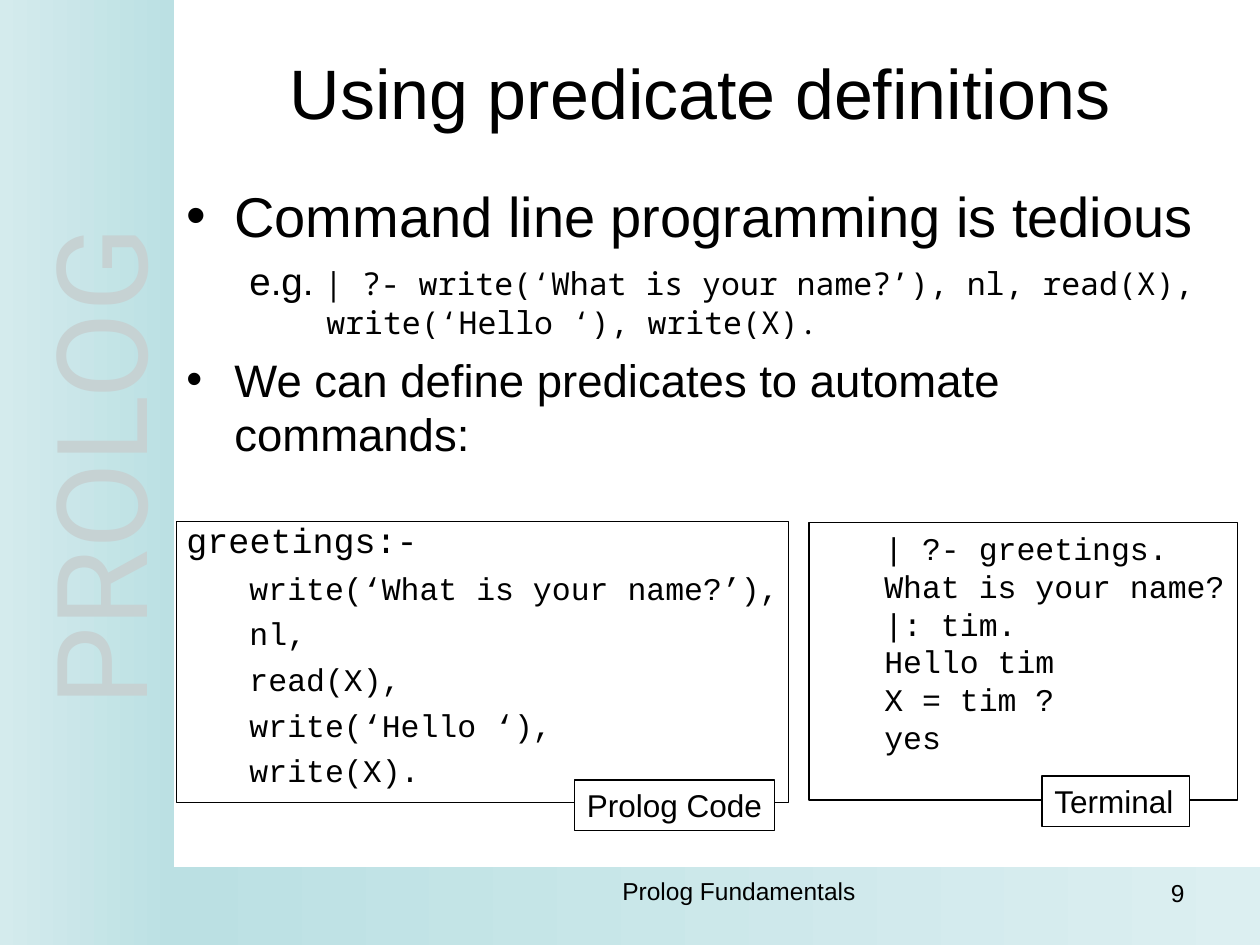
from lxml.etree import SubElement
from pptx import Presentation
from pptx.dml.color import RGBColor
from pptx.enum.shapes import MSO_SHAPE as Shape
from pptx.enum.text import MSO_ANCHOR as Anchor, MSO_AUTO_SIZE as Fit, PP_ALIGN as Align
from pptx.oxml.ns import qn
from pptx.util import Inches, Pt

# Grid: 100 columns by 75 rows over the slide
COLS, ROWS = 100, 75
WIDE, HIGH = Inches(10), Inches(7.5)
MONO = "Courier New"


def hue(code):
    return RGBColor.from_string(code)


def grid(box):
    x, y, w, h = box
    return [round(v) for v in (x * WIDE / COLS, y * HIGH / ROWS,
                               w * WIDE / COLS, h * HIGH / ROWS)]


def style(item, form):
    for key, val in form.items():
        setattr(item, key, val)


def move(shape, box):
    style(shape, dict(zip(("left", "top", "width", "height"), grid(box))))


def write(par, text, size, face="Arial", color="000000"):
    run = par.add_run()
    run.text = text
    style(run.font, {"size": Pt(size), "name": face})
    run.font.color.rgb = hue(color)


def indent(par, left, hang, mark=None):
    props = par._p.get_or_add_pPr()
    props.set("marL", str(Inches(left)))
    props.set("indent", str(Inches(hang)))
    if mark:
        SubElement(props, qn("a:buChar"), char=mark)
    else:
        SubElement(props, qn("a:buNone"))


def band(slide, box, start, end):
    shape = slide.shapes.add_shape(Shape.RECTANGLE, *grid(box))
    shape.shadow.inherit = False
    shape.line.fill.background()
    shape.fill.gradient()
    shape.fill.gradient_angle = 0
    for stop, code in zip(shape.fill.gradient_stops, (start, end)):
        stop.color.rgb = hue(code)


def label(slide, box, text, size, align, wrap=True, **look):
    shape = slide.shapes.add_textbox(*grid(box))
    shape.text_frame.word_wrap = wrap
    par = shape.text_frame.paragraphs[0]
    par.alignment = align
    write(par, text, size, **look)
    return shape


def frame(slide, box, lines=(), fill=None, face="Arial", left=0):
    shape = slide.shapes.add_shape(Shape.RECTANGLE, *grid(box))
    shape.shadow.inherit = False
    style(shape.line, {"width": Pt(0.75)})
    shape.line.color.rgb = hue("000000")
    if fill:
        shape.fill.solid()
        shape.fill.fore_color.rgb = hue(fill)
    else:
        shape.fill.background()
    body = shape.text_frame
    style(body, {"word_wrap": False, "vertical_anchor": Anchor.TOP})
    for num, text in enumerate(lines):
        par = body.add_paragraph() if num else body.paragraphs[0]
        par.alignment = Align.LEFT
        indent(par, left, 0)
        write(par, text, 18, face)


def title(slide, box):
    shape = slide.shapes.title
    move(shape, box)
    style(shape.text_frame, {"vertical_anchor": Anchor.MIDDLE, "auto_size": Fit.NONE})
    par = shape.text_frame.paragraphs[0]
    par.alignment = Align.CENTER
    write(par, "Using predicate definitions", 40)


def content(slide, box):
    shape = slide.placeholders[1]
    move(shape, box)
    body = shape.text_frame
    body.auto_size = Fit.NONE
    code = ["write(‘What is your name?’),", "nl,", "read(X),", "write(‘Hello ‘),", "write(X)."]
    # Each row: level, space before, left, hang, bullet, runs
    rows = [
        (0, 0, 0.38, -0.38, "•", [("Command line programming is tedious", 32)]),
        (1, 4.5, 1.11, -0.61, None, [
            ("e.g. ", 22),
            ("| ?- write(‘What is your name?’), nl, read(X), write(‘Hello ‘), write(X).",
             18, "Noto Sans Mono")]),
        (0, 6.5, 0.38, -0.38, "•", [("We can define predicates to automate commands:", 26)]),
        (0, 33, 0.38, -0.38, None, [("greetings:-", 20, MONO)]),
    ]
    rows += [(1, 4.5, 0.81, -0.31, None, [(line, 18, MONO)]) for line in code]
    for num, (level, gap, left, hang, mark, runs) in enumerate(rows):
        par = body.add_paragraph() if num else body.paragraphs[0]
        style(par, {"level": level, "space_before": Pt(gap)})
        indent(par, left, hang, mark)
        for run in runs:
            write(par, *run)


def backdrop(slide):
    band(slide, (13.8, 68.8, 86.2, 6.2), "BBE0E3", "DCEFF1")
    band(slide, (0, 0, 13.8, ROWS), "D4EBED", "BBE0E3")
    side = label(slide, (-27.7, 31.7, 68.5, 10.7), "PROLOG", 72, Align.CENTER,
                 wrap=False, face="Roboto", color="C6D2D3")
    side.rotation = 270


def footer(slide):
    label(slide, (34.2, 69, 48.9, 4.1), "Prolog Fundamentals", 14, Align.CENTER)
    label(slide, (84.7, 69.2, 10.3, 3.7), "9", 14, Align.RIGHT)


def panels(slide):
    talk = ["| ?- greetings.", "What is your name?", "|: tim.", "Hello tim", "X = tim ?", "yes"]
    frame(slide, (64.2, 41.5, 34, 22), talk, face=MONO, left=0.5)
    frame(slide, (14, 41.4, 48.6, 22.3))
    frame(slide, (45.6, 61.9, 15.9, 4), ["Prolog Code"], "FFFFFF")
    frame(slide, (82.7, 61.6, 11.7, 4), ["Terminal"], "FFFFFF")


def main():
    deck = Presentation()
    style(deck, {"slide_width": WIDE, "slide_height": HIGH})
    slide = deck.slides.add_slide(deck.slide_layouts[1])
    backdrop(slide)
    footer(slide)
    title(slide, (13.8, 3, 83.5, 8.5))
    content(slide, (13.8, 13.9, 83.5, 54.8))
    panels(slide)
    deck.save("out.pptx")


if __name__ == "__main__":
    main()
